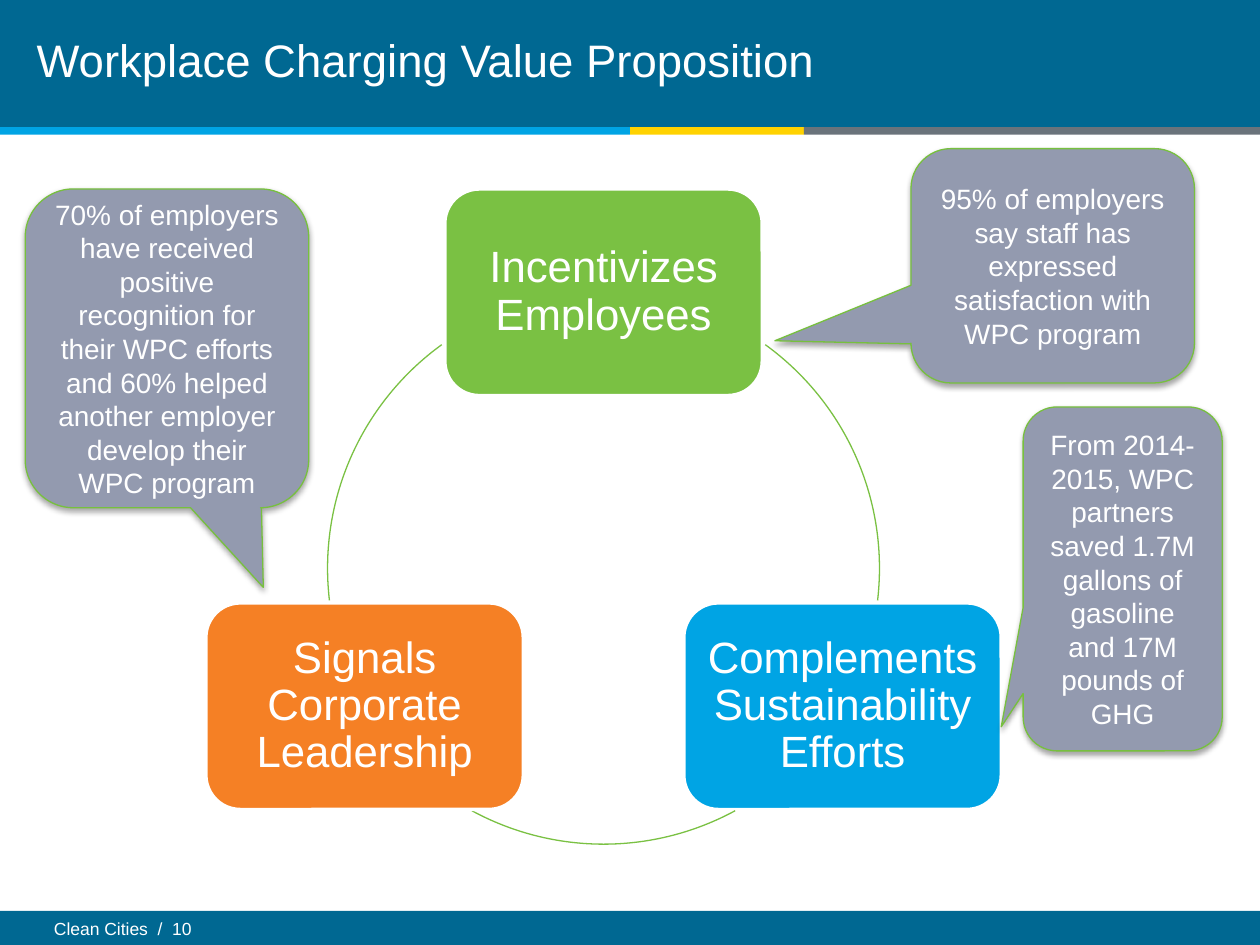
from math import cos, radians, sin

from pptx import Presentation
from pptx.dml.color import RGBColor
from pptx.enum.shapes import MSO_SHAPE as Shape
from pptx.enum.text import MSO_ANCHOR as Anchor, PP_ALIGN as Align
from pptx.oxml import parse_xml
from pptx.oxml.ns import nsdecls
from pptx.util import Inches, Pt

COLORS = {
    "navy": "006892", "blue": "00A4E4", "yellow": "FFD200", "gray": "6A737B",
    "green": "7AC143", "orange": "F58025", "callout": "939AAF",
    "callout_line": "77C03E", "white": "FFFFFF",
}
TITLE = "Workplace Charging Value Proposition"
FOOTER = "Clean Cities  /  10"
BARS = [
    (0, 0, 10, 1.01, "navy"),
    (0, 7.23, 10, 0.27, "navy"),
    (0, 1.01, 5, 0.06, "blue"),
    (5, 1.01, 1.38, 0.06, "yellow"),
    (6.38, 1.01, 3.62, 0.06, "gray"),
]
CENTER_X, CENTER_Y, RADIUS = 4.79, 4.51, 2.19
NODE_WIDTH, NODE_HEIGHT = 2.52, 1.64
NODES = [
    ("Incentivizes Employees", "green", -90),
    ("Complements Sustainability Efforts", "blue", 30),
    ("Signals Corporate Leadership", "orange", 150),
]
ARCS = [(305.9, 6.7), (61.5, 118.5), (173.3, 234.1)]
CALLOUTS = [
    ("95% of employers say staff has expressed satisfaction with WPC program",
     (7.23, 1.18, 2.25, 1.86), (-0.98, 0.32)),
    ("70% of employers have received positive recognition for their WPC efforts "
     "and 60% helped another employer develop their WPC program",
     (0.2, 1.5, 2.25, 2.53), (0.34, 0.75)),
    ("From 2014-2015, WPC partners saved 1.7M gallons of gasoline and 17M pounds of GHG",
     (8.12, 3.23, 1.58, 2.73), (-0.61, 0.43)),
]
SHADOW = (
    f'<a:effectLst {nsdecls("a")}><a:outerShdw blurRad="40000" dist="23000" dir="5400000" '
    'rotWithShape="0"><a:srgbClr val="000000"><a:alpha val="35000"/></a:srgbClr>'
    '</a:outerShdw></a:effectLst>'
)


def color(name):
    return RGBColor.from_string(COLORS[name])


def add_shape(slide, kind, box, fill=None, line=None, line_width=0.75):
    shape = slide.shapes.add_shape(kind, *map(Inches, box))
    shape.shadow.inherit = False
    if fill:
        shape.fill.solid()
        shape.fill.fore_color.rgb = color(fill)
    else:
        shape.fill.background()
    if line:
        shape.line.color.rgb = color(line)
        shape.line.width = Pt(line_width)
    else:
        shape.line.fill.background()
    return shape


def write(shape, text, size, align=Align.CENTER, anchor=Anchor.MIDDLE, spacing=None):
    frame = shape.text_frame
    frame.text = text
    frame.word_wrap = True
    frame.vertical_anchor = anchor
    paragraph = frame.paragraphs[0]
    paragraph.alignment = align
    paragraph.line_spacing = spacing
    font = paragraph.runs[0].font
    font.name = "Arial"
    font.size = Pt(size)
    font.color.rgb = color("white")


def add_frame(slide):
    for *box, fill in BARS:
        add_shape(slide, Shape.RECTANGLE, box, fill)
    footer = slide.shapes.add_textbox(*map(Inches, (0.33, 7.24, 7.78, 0.26)))
    write(footer, FOOTER, 10, Align.LEFT, Anchor.TOP)

    title = slide.shapes.title
    title.left, title.top, title.width, title.height = map(Inches, (0.19, 0, 7.64, 0.99))
    write(title, TITLE, 26, Align.LEFT, spacing=Pt(28))
    slide.shapes._spTree.append(title._element)


def add_cycle(slide):
    circle = (CENTER_X - RADIUS, CENTER_Y - RADIUS, 2 * RADIUS, 2 * RADIUS)
    for (text, fill, angle), arc_angles in zip(NODES, ARCS):
        left = CENTER_X + RADIUS * cos(radians(angle)) - NODE_WIDTH / 2
        top = CENTER_Y + RADIUS * sin(radians(angle)) - NODE_HEIGHT / 2
        box = (left, top, NODE_WIDTH, NODE_HEIGHT)
        node = add_shape(slide, Shape.ROUNDED_RECTANGLE, box, fill, "white", 2)
        frame = node.text_frame
        frame.margin_left = frame.margin_right = Inches(0.1)
        frame.margin_top = frame.margin_bottom = Inches(0.1)
        write(node, text, 25, spacing=0.9)

        arc = add_shape(slide, Shape.ARC, circle, line="green")
        for index, degrees in enumerate(arc_angles):
            arc.adjustments[index] = degrees * 60000 / 100000


def add_callouts(slide):
    for text, box, tip in CALLOUTS:
        callout = add_shape(slide, Shape.ROUNDED_RECTANGULAR_CALLOUT, box,
                            "callout", "callout_line")
        for index, value in enumerate((*tip, 0.17)):
            callout.adjustments[index] = value
        properties = callout._element.spPr
        properties.replace(properties.effectLst, parse_xml(SHADOW))
        write(callout, text, 16)


def main():
    presentation = Presentation()
    presentation.slide_width = Inches(10)
    presentation.slide_height = Inches(7.5)
    slide = presentation.slides.add_slide(presentation.slide_layouts[5])
    add_frame(slide)
    add_cycle(slide)
    add_callouts(slide)
    presentation.save("out.pptx")


if __name__ == "__main__":
    main()
